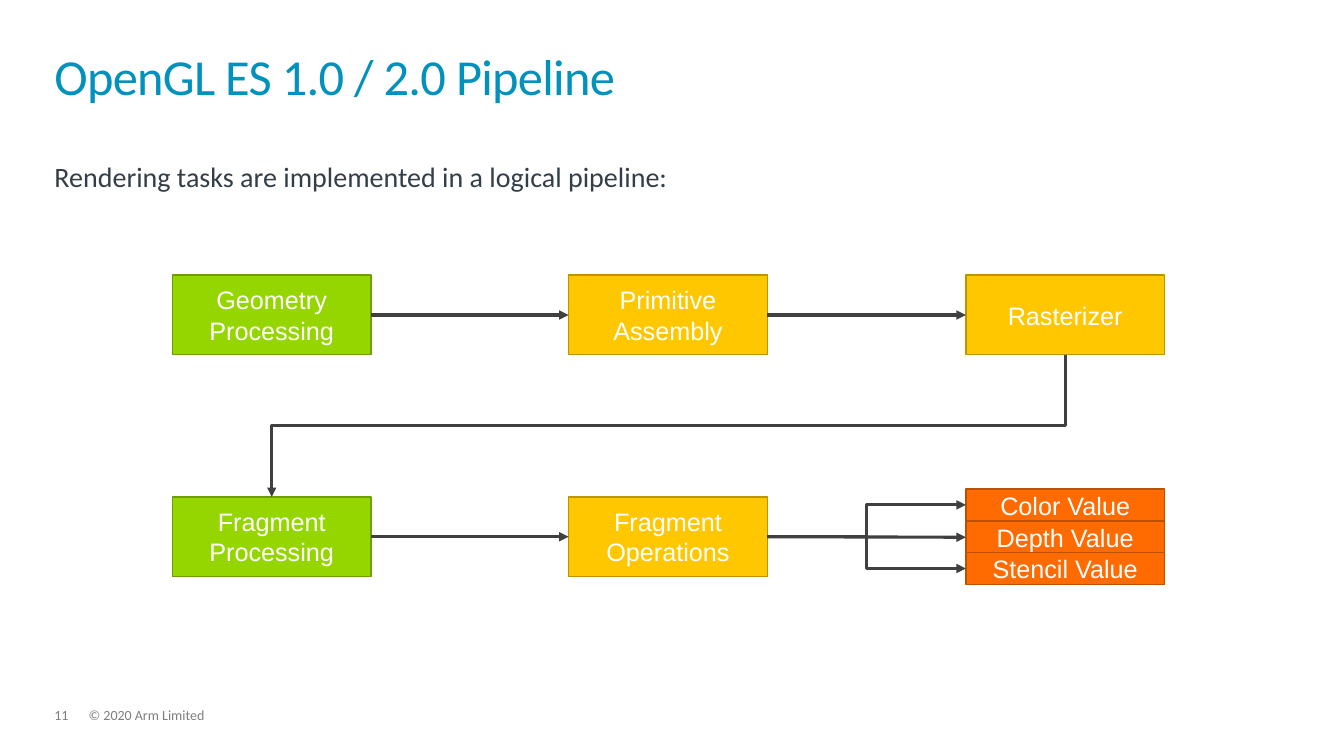
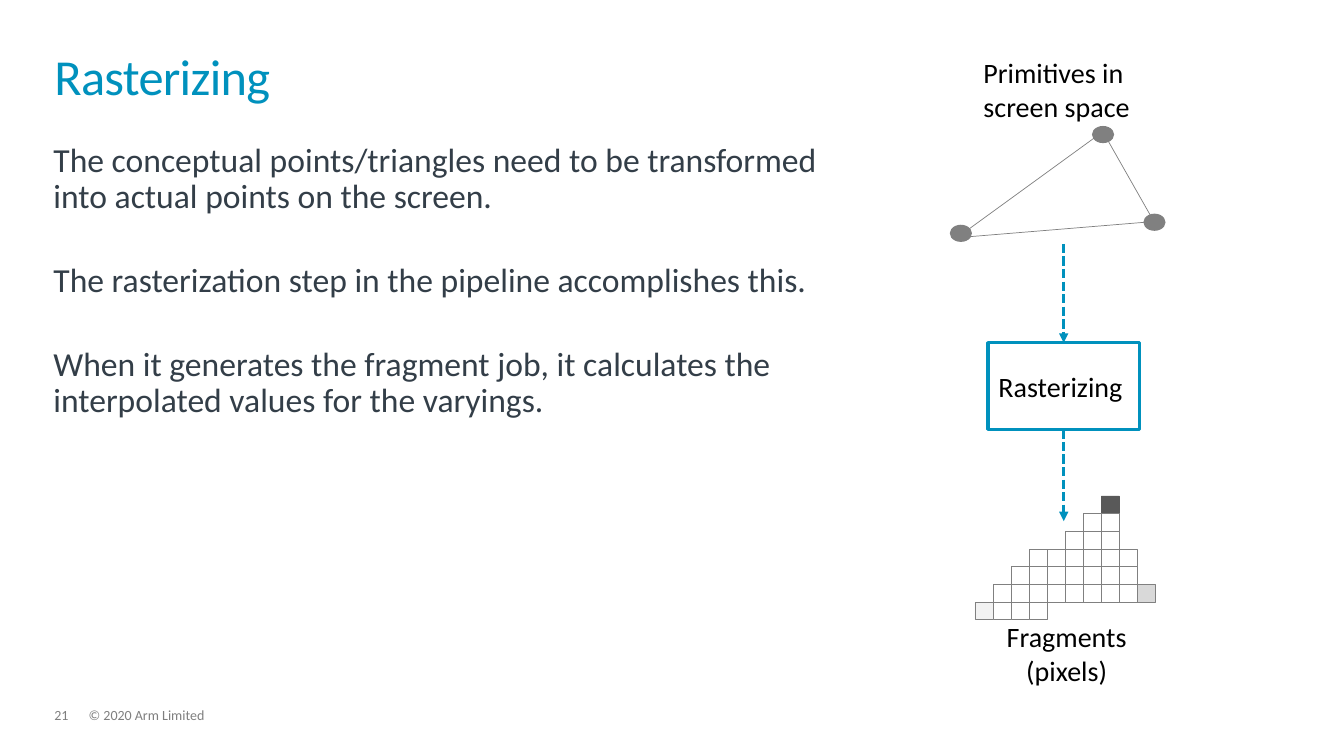
"""Build two slides on the graphics pipeline and its rasterizing step."""
from dataclasses import dataclass

from lxml.etree import SubElement
from pptx import Presentation
from pptx.dml.color import RGBColor
from pptx.enum.dml import MSO_LINE_DASH_STYLE as DASH
from pptx.enum.shapes import MSO_CONNECTOR as LINK, MSO_SHAPE as SHAPE
from pptx.enum.text import MSO_ANCHOR as ANCHOR, PP_ALIGN as ALIGN
from pptx.oxml.ns import qn
from pptx.util import Pt

PX = 9144


@dataclass(frozen=True)
class Theme:
    font: str = "Calibri"
    diagram_font: str = "Arial"
    accent: str = "0091BD"
    body: str = "333E48"
    footer: str = "7F7F7F"
    black: str = "000000"
    white: str = "FFFFFF"
    arrow: str = "404040"
    outline: str = "808080"
    green: tuple = ("95D600", "6E9E00")
    yellow: tuple = ("FFC700", "BD9300")
    orange: tuple = ("FF6B00", "BD4F00")
    dark_pixel: str = "595959"
    mid_pixel: str = "D9D9D9"
    pale_pixel: str = "F2F2F2"
    title_size: int = 36
    body_size: int = 24
    label_size: int = 20
    stage_size: int = 18
    footer_size: int = 10
    bold_line: float = 2.25
    thin_line: float = 0.5


THEME = Theme()


def write(slide, box, lines, size, color, font=THEME.font, align=ALIGN.LEFT,
          spacing=1.0, gap=0, anchor=ANCHOR.TOP, fill=None, line=None, width=1):
    """Place lines of text in a plain box, or in a rectangle if a line is given."""
    place = [value * PX for value in box]
    if line:
        holder = slide.shapes.add_shape(SHAPE.RECTANGLE, *place)
        holder.shadow.inherit = False
        holder.line.color.rgb = RGBColor.from_string(line)
        holder.line.width = Pt(width)
        if fill:
            holder.fill.solid()
            holder.fill.fore_color.rgb = RGBColor.from_string(fill)
        else:
            holder.fill.background()
    else:
        holder = slide.shapes.add_textbox(*place)
    frame = holder.text_frame
    if not line:
        frame.margin_left = frame.margin_right = frame.margin_top = frame.margin_bottom = 0
    frame.word_wrap = True
    frame.vertical_anchor = anchor
    frame.text = "\n".join(lines)
    for order, paragraph in enumerate(frame.paragraphs):
        paragraph.alignment = align
        paragraph.line_spacing = spacing
        if order and gap:
            paragraph.space_before = Pt(gap)
        paragraph.font.size = Pt(size)
        paragraph.font.name = font
        paragraph.font.color.rgb = RGBColor.from_string(color)
    return holder


def arrow(slide, color, kind=LINK.STRAIGHT, points=(0, 0, 0, 0)):
    """Draw a connector that ends in a triangle."""
    link = slide.shapes.add_connector(kind, *[value * PX for value in points])
    link.line.color.rgb = RGBColor.from_string(color)
    link.line.width = Pt(THEME.bold_line)
    SubElement(link.line._get_or_add_ln(), qn("a:tailEnd"), type="triangle")
    SubElement(link._element.spPr, qn("a:effectLst"))
    return link


deck = Presentation()
deck.slide_width, deck.slide_height = 1333 * PX, 750 * PX

slides = []
for number, heading in (("11", "OpenGL ES 1.0 / 2.0 Pipeline"), ("21", "Rasterizing")):
    slide = deck.slides.add_slide(deck.slide_layouts[6])
    slides.append(slide)
    title = write(slide, (54, 32, 1223, 73), [heading], THEME.title_size, THEME.accent,
                  spacing=0.85, anchor=ANCHOR.BOTTOM)
    title.text_frame.paragraphs[0].runs[0]._r.get_or_add_rPr().set("spc", "-50")
    for left, width, note in ((54, 34, number), (88, 913, "© 2020 Arm Limited")):
        write(slide, (left, 703, width, 15), [note], THEME.footer_size, THEME.footer, spacing=0.9)
pipeline, rasterizing = slides

write(pipeline, (54, 162, 1223, 447), ["Rendering tasks are implemented in a logical pipeline:"],
      THEME.label_size, THEME.body, spacing=0.9)

columns = (171, 564, 958)
stages = {}
for column, top, height, name, (fill, line) in (
    (0, 273, 79, "Geometry Processing", THEME.green),
    (1, 273, 79, "Primitive Assembly", THEME.yellow),
    (2, 273, 79, "Rasterizer", THEME.yellow),
    (0, 493, 79, "Fragment Processing", THEME.green),
    (1, 493, 79, "Fragment Operations", THEME.yellow),
    (2, 485, 32, "Color Value", THEME.orange),
    (2, 517, 32, "Depth Value", THEME.orange),
    (2, 548, 32, "Stencil Value", THEME.orange),
):
    stages[name] = write(pipeline, (columns[column], top, 197, height), [name],
                         THEME.stage_size, THEME.white, THEME.diagram_font, ALIGN.CENTER,
                         anchor=ANCHOR.MIDDLE, fill=fill, line=line)

TOP, LEFT, BOTTOM, RIGHT = range(4)
for source, target, kind in (
    ("Geometry Processing", "Primitive Assembly", LINK.STRAIGHT),
    ("Primitive Assembly", "Rasterizer", LINK.STRAIGHT),
    ("Fragment Processing", "Fragment Operations", LINK.STRAIGHT),
    ("Fragment Operations", "Color Value", LINK.ELBOW),
    ("Fragment Operations", "Depth Value", LINK.STRAIGHT),
    ("Fragment Operations", "Stencil Value", LINK.ELBOW),
):
    flow = arrow(pipeline, THEME.arrow, kind)
    flow.begin_connect(stages[source], RIGHT)
    flow.end_connect(stages[target], LEFT)

row_return = arrow(pipeline, THEME.arrow, LINK.ELBOW)
row_return.begin_connect(stages["Rasterizer"], BOTTOM)
row_return.end_connect(stages["Fragment Processing"], TOP)
span, drop = row_return.width, row_return.height
row_return.left += (span - drop) // 2
row_return.top -= (span - drop) // 2
row_return.width, row_return.height = drop, span
turn = row_return._element.spPr.xfrm
turn.flipH = False
turn.rot = 90.0

write(rasterizing, (53, 142, 764, 280), [
    "The conceptual points/triangles need to be transformed into actual points on the screen.",
    "The rasterization step in the pipeline accomplishes this.",
    "When it generates the fragment job, it calculates the interpolated values for the varyings.",
], THEME.body_size, THEME.body, spacing=0.9, gap=34)
write(rasterizing, (963, 55, 170, 67), ["Primitives in ", "screen space"],
      THEME.label_size, THEME.black, align=ALIGN.CENTER)
write(rasterizing, (998, 615, 120, 67), ["Fragments", "(pixels)"],
      THEME.label_size, THEME.black, align=ALIGN.CENTER)
step = write(rasterizing, (980, 340, 150, 86), ["Rasterizing "], THEME.label_size, THEME.black,
             align=ALIGN.CENTER, anchor=ANCHOR.MIDDLE, line=THEME.accent, width=THEME.bold_line)

into_step = arrow(rasterizing, THEME.accent, points=(1055, 242, 1055, 340))
into_step.end_connect(step, TOP)
out_of_step = arrow(rasterizing, THEME.accent, points=(1055, 426, 1055, 517))
out_of_step.begin_connect(step, BOTTOM)
for flow in (into_step, out_of_step):
    flow.line.dash_style = DASH.SQUARE_DOT

primitive = rasterizing.shapes.add_group_shape().shapes
edges = primitive.add_shape(SHAPE.ISOSCELES_TRIANGLE, 945 * PX, 135 * PX, 196 * PX, 93 * PX)
edges.adjustments[0] = 0.78
edges.rotation = 355.3
edges.shadow.inherit = False
edges.fill.background()
edges.line.color.rgb = RGBColor.from_string(THEME.outline)
edges.line.width = Pt(THEME.thin_line)
for left, top in ((1083, 125), (1134, 212), (942, 223)):
    vertex = primitive.add_shape(SHAPE.OVAL, left * PX, top * PX, 22 * PX, 17 * PX)
    vertex.shadow.inherit = False
    vertex.fill.solid()
    vertex.fill.fore_color.rgb = RGBColor.from_string(THEME.outline)
    vertex.line.fill.background()

fragments = rasterizing.shapes.add_group_shape().shapes
cell_width, cell_height = 179 * PX // 10, 123 * PX // 7
covered = ((7, 7), (6, 7), (5, 7), (3, 8), (2, 8), (1, 9), (0, 3))
shades = {(0, 7): THEME.dark_pixel, (5, 9): THEME.mid_pixel, (6, 0): THEME.pale_pixel}
for row, (first, last) in enumerate(covered):
    for column in range(first, last + 1):
        shade = shades.get((row, column), THEME.white)
        border = shade if shade == THEME.dark_pixel else THEME.outline
        pixel = fragments.add_shape(SHAPE.RECTANGLE, 967 * PX + column * cell_width,
                                    492 * PX + row * cell_height, cell_width, cell_height)
        pixel.shadow.inherit = False
        pixel.fill.solid()
        pixel.fill.fore_color.rgb = RGBColor.from_string(shade)
        pixel.line.color.rgb = RGBColor.from_string(border)
        pixel.line.width = Pt(THEME.thin_line)

deck.save("out.pptx")
